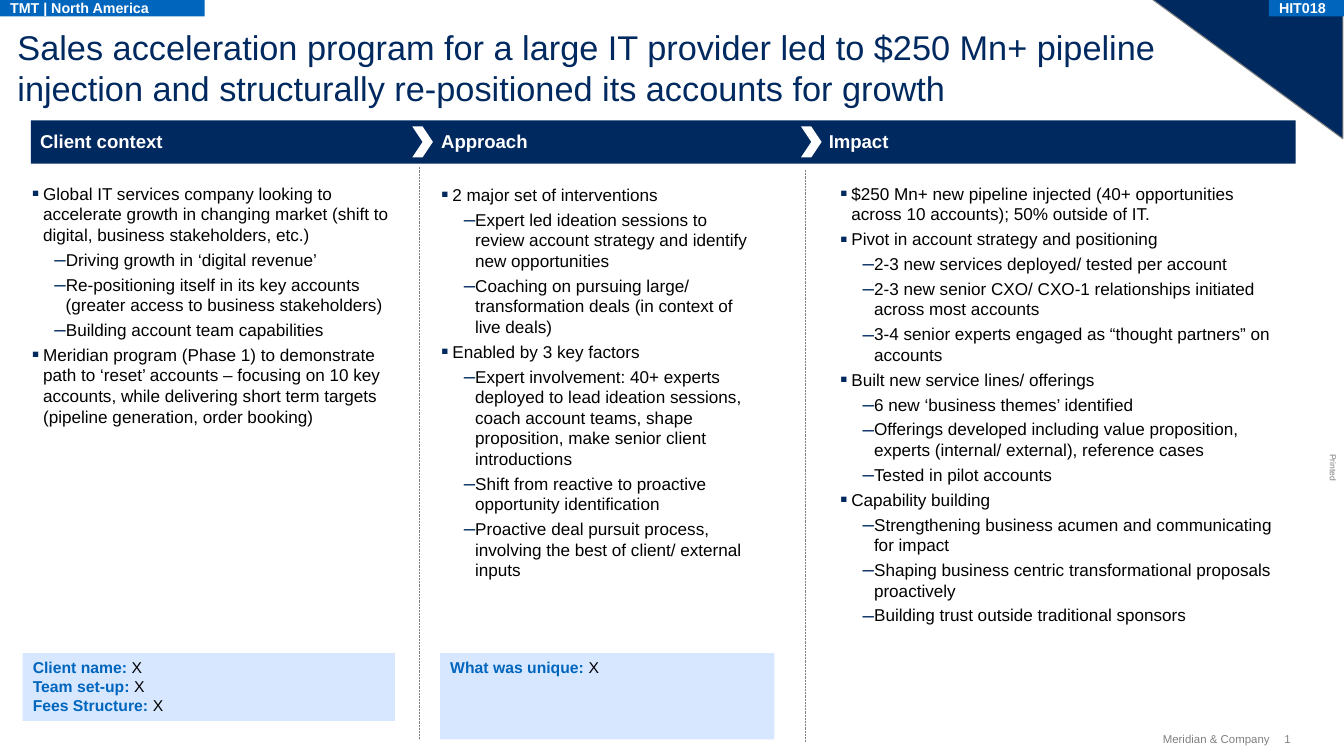
from lxml import etree
from pptx import Presentation
from pptx.dml.color import RGBColor
from pptx.enum.dml import MSO_LINE
from pptx.enum.shapes import MSO_CONNECTOR, MSO_SHAPE
from pptx.enum.text import MSO_ANCHOR, PP_ALIGN
from pptx.oxml.ns import qn
from pptx.util import Inches, Pt

NAVY = RGBColor(0x00, 0x29, 0x60)
BLUE = RGBColor(0x00, 0x65, 0xBD)
PALE = RGBColor(0xD6, 0xE7, 0xFF)
GREY = RGBColor(0x80, 0x80, 0x80)
BLACK = RGBColor(0x00, 0x00, 0x00)
WHITE = RGBColor(0xFF, 0xFF, 0xFF)

prs = Presentation()
prs.slide_width, prs.slide_height = Inches(13.07), Inches(7.35)
s = prs.slides.add_slide(prs.slide_layouts[6])


def add_box(box, fill=None, kind=MSO_SHAPE.RECTANGLE, inset=(0, 0, 0, 0), **fmt):
    """Add a filled shape, or a text box when there is no fill."""
    pos = [Inches(v) for v in box]
    if fill is None:
        sp = s.shapes.add_textbox(*pos)
    else:
        sp = s.shapes.add_shape(kind, *pos)
        sp.shadow.inherit = False
        sp.fill.solid()
        sp.fill.fore_color.rgb = fill
        sp.line.fill.background()
    tf = sp.text_frame
    for side, v in zip(("left", "top", "right", "bottom"), inset):
        setattr(tf, f"margin_{side}", Inches(v))
    for name, value in {"word_wrap": True, "vertical_anchor": MSO_ANCHOR.TOP, **fmt}.items():
        setattr(tf, name, value)
    return sp


def add_run(p, text, size, color, bold=False):
    r = p.add_run()
    r.text = text
    for name, value in {"name": "Arial", "size": Pt(size), "bold": bold}.items():
        setattr(r.font, name, value)
    r.font.color.rgb = color


# Corner triangle
sp = add_box((11.2, -0.01, 1.86, 1.36), NAVY, MSO_SHAPE.ISOSCELES_TRIANGLE)
sp.adjustments[0] = 1
sp._element.spPr.find(qn("a:xfrm")).set("flipV", "1")
sp.line.color.rgb = GREY
sp.line.width = Pt(0.75)

# Side note and footer
for text, box, size, align, turn in [
    ("Printed", (12.83, 4.5, 0.27, 0.1), 6, PP_ALIGN.LEFT, 90),
    ("1", (12.49, 7.12, 0.14, 0.13), 8, PP_ALIGN.LEFT, 0),
    ("Meridian & Company", (11.24, 7.12, 1.11, 0.13), 8, PP_ALIGN.RIGHT, 0),
]:
    sp = add_box(box, word_wrap=False, vertical_anchor=MSO_ANCHOR.MIDDLE)
    sp.rotation = turn
    p = sp.text_frame.paragraphs[0]
    p.alignment = align
    add_run(p, text, size, GREY)

# Title
sp = add_box((0.17, 0.25, 11.2, 0.81))
add_run(sp.text_frame.paragraphs[0],
        "Sales acceleration program for a large IT provider led to $250 Mn+ pipeline "
        "injection and structurally re-positioned its accounts for growth", 24, NAVY)

# Bulleted columns: (level, text)
columns = [
    ((0.31, 1.78, 3.53, 2.39), [
        (0, "Global IT services company looking to accelerate growth in changing market "
            "(shift to digital, business stakeholders, etc.)"),
        (1, "Driving growth in ‘digital revenue’"),
        (1, "Re-positioning itself in its key accounts (greater access to business stakeholders)"),
        (1, "Building account team capabilities"),
        (0, "Meridian program (Phase 1) to demonstrate path to ‘reset’ accounts – focusing on "
            "10 key accounts, while delivering short term targets (pipeline generation, "
            "order booking)"),
    ]),
    ((4.29, 1.79, 3.05, 3.89), [
        (0, "2 major set of interventions"),
        (1, "Expert led ideation sessions to review account strategy and identify "
            "new opportunities"),
        (1, "Coaching on pursuing large/ transformation deals (in context of live deals)"),
        (0, "Enabled by 3 key factors"),
        (1, "Expert involvement: 40+ experts deployed to lead ideation sessions, coach account "
            "teams, shape proposition, make senior client introductions"),
        (1, "Shift from reactive to proactive opportunity identification"),
        (1, "Proactive deal pursuit process, involving the best of client/ external inputs"),
    ]),
    ((8.17, 1.78, 4.23, 4.34), [
        (0, "$250 Mn+ new pipeline injected (40+ opportunities across 10 accounts); "
            "50% outside of IT."),
        (0, "Pivot in account strategy and positioning"),
        (1, "2-3 new services deployed/ tested per account"),
        (1, "2-3 new senior CXO/ CXO-1 relationships initiated across most accounts"),
        (1, "3-4 senior experts engaged as “thought partners” on accounts"),
        (0, "Built new service lines/ offerings"),
        (1, "6 new ‘business themes’ identified"),
        (1, "Offerings developed including value proposition, experts (internal/ external), "
            "reference cases"),
        (1, "Tested in pilot accounts"),
        (0, "Capability building"),
        (1, "Strengthening business acumen and communicating for impact"),
        (1, "Shaping business centric transformational proposals proactively"),
        (1, "Building trust outside traditional sponsors"),
    ]),
]
bullets = [("▪", 0.11, "125000"), ("–", 0.33, "120000")]
for box, items in columns:
    tf = add_box(box).text_frame
    for i, (level, text) in enumerate(items):
        p = tf.add_paragraph() if i else tf.paragraphs[0]
        char, indent, size = bullets[level]
        p.level = level
        pPr = p._p.get_or_add_pPr()
        pPr.set("marL", str(Inches(indent)))
        pPr.set("indent", str(Inches(-0.11)))
        color = etree.SubElement(pPr, qn("a:buClr"))
        etree.SubElement(color, qn("a:srgbClr"), val=str(NAVY))
        etree.SubElement(pPr, qn("a:buSzPct"), val=size)
        etree.SubElement(pPr, qn("a:buFont"), typeface="Arial")
        etree.SubElement(pPr, qn("a:buChar"), char=char)
        if i:
            p.space_before = Pt(3)
        add_run(p, text, 12, BLACK)

# Top tags
for text, left, width in [("TMT | North America", 0, 1.99), ("HIT018", 12.34, 0.73)]:
    sp = add_box((left, 0, width, 0.16), BLUE, inset=(0.1, 0, 0, 0),
                 vertical_anchor=MSO_ANCHOR.MIDDLE)
    p = sp.text_frame.paragraphs[0]
    p.alignment = PP_ALIGN.LEFT
    add_run(p, text, 10, WHITE, True)

# Header band with headings and chevrons
add_box((0.3, 1.17, 12.3, 0.42), NAVY)
for text, left, width in [("Client context", 0.39, 2.91), ("Approach", 4.29, 3.49),
                          ("Impact", 8.06, 3.17)]:
    sp = add_box((left, 1.26, width, 0.24), inset=(0, 0, 0, 0.02),
                 vertical_anchor=MSO_ANCHOR.BOTTOM)
    add_run(sp.text_frame.paragraphs[0], text, 13, WHITE, True)
for left in (4.01, 7.79):
    add_box((left, 1.23, 0.2, 0.3), WHITE, MSO_SHAPE.CHEVRON)

# Dotted column dividers
for x, top in [(4.08, 1.62), (7.83, 1.65)]:
    line = s.shapes.add_connector(MSO_CONNECTOR.STRAIGHT, Inches(x), Inches(top),
                                  Inches(x), Inches(top + 5.57))
    line.line.color.rgb = GREY
    line.line.width = Pt(0.5)
    line.line.dash_style = MSO_LINE.ROUND_DOT
    etree.SubElement(line._element.spPr, qn("a:effectLst"))

# Fact boxes
for box, labels in [
    ((0.22, 6.35, 3.62, 0.66), ["Client name: ", "Team set-up: ", "Fees Structure: "]),
    ((4.28, 6.35, 3.25, 0.84), ["What was unique: "]),
]:
    tf = add_box(box, PALE, inset=(0.1, 0.05, 0.1, 0.05)).text_frame
    for i, label in enumerate(labels):
        p = tf.add_paragraph() if i else tf.paragraphs[0]
        p.alignment = PP_ALIGN.LEFT
        add_run(p, label, 11, BLUE, True)
        add_run(p, "X", 11, BLACK)

prs.save("out.pptx")
